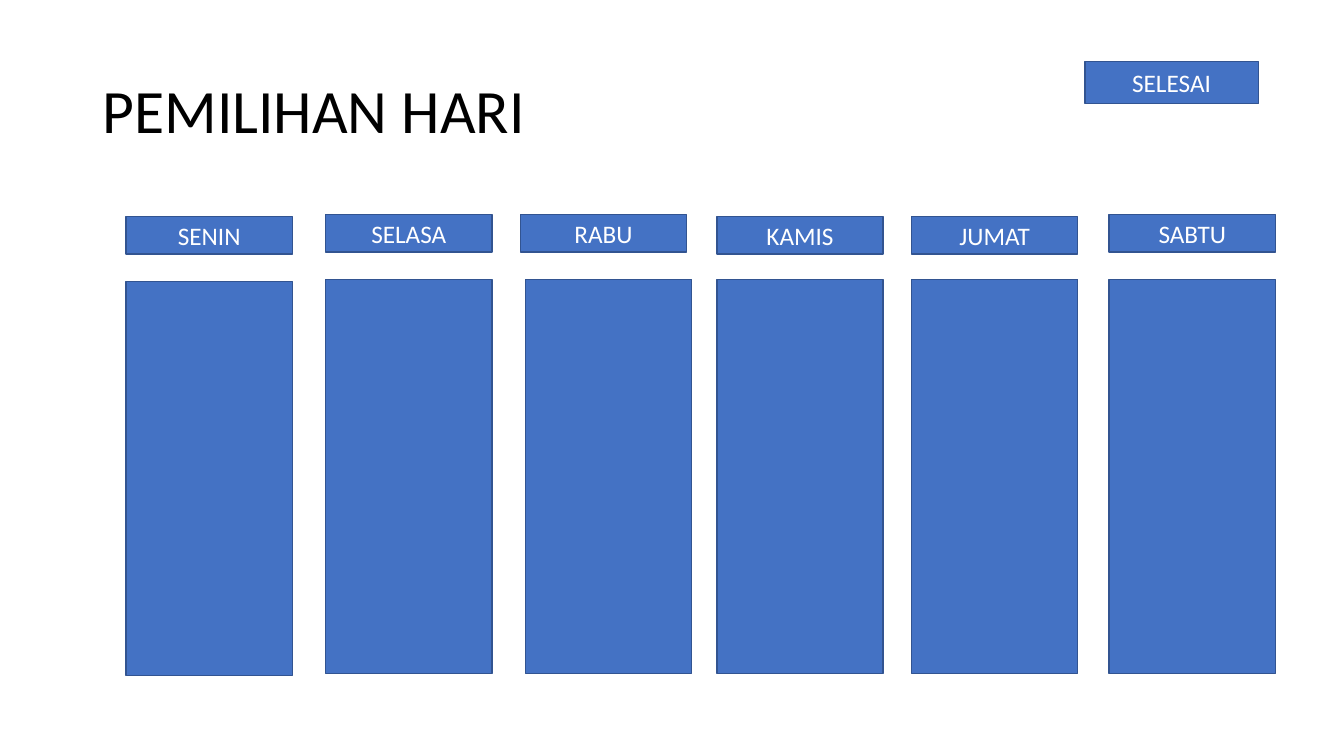
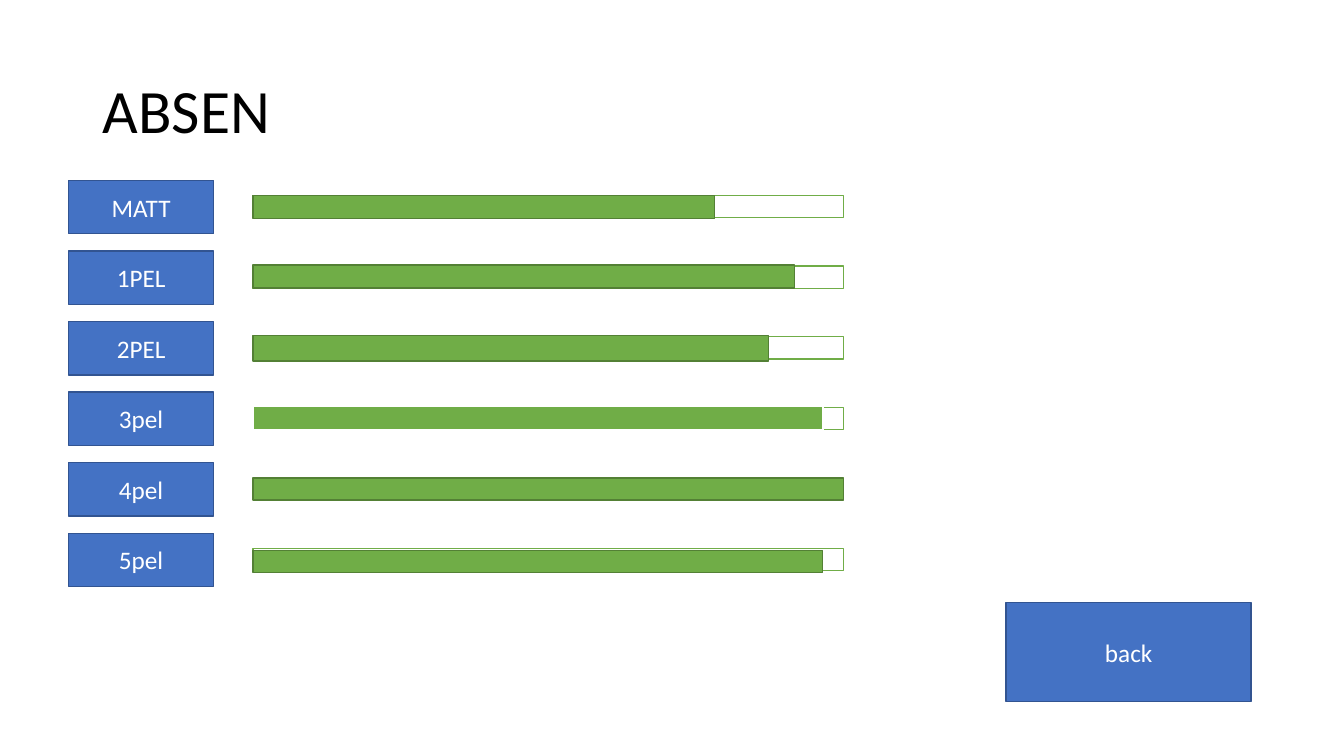
"""Build a day-selection slide and an attendance slide."""
from dataclasses import dataclass

from pptx import Presentation
from pptx.dml.color import RGBColor
from pptx.enum.shapes import MSO_SHAPE
from pptx.enum.text import MSO_ANCHOR, PP_ALIGN
from pptx.util import Inches, Pt


@dataclass(frozen=True)
class Theme:
    font: str = "Calibri"
    title_size: int = 44
    label_size: int = 18
    black: str = "000000"
    white: str = "FFFFFF"
    blue: str = "4472C4"
    blue_edge: str = "325491"
    green: str = "70AD47"
    green_edge: str = "538035"


theme = Theme()


def write_text(shape, text, size=theme.label_size, color=theme.white,
               align=PP_ALIGN.CENTER, line_spacing=1.0):
    frame = shape.text_frame
    frame.word_wrap = True
    frame.vertical_anchor = MSO_ANCHOR.MIDDLE
    paragraph = frame.paragraphs[0]
    paragraph.alignment = align
    paragraph.line_spacing = line_spacing
    run = paragraph.add_run()
    run.text = text
    run.font.name = theme.font
    run.font.size = Pt(size)
    run.font.color.rgb = RGBColor.from_string(color)


def add_box(slide, left, top, width, height, text="", fill=theme.blue,
            edge=theme.blue_edge, edge_width=1):
    shape = slide.shapes.add_shape(MSO_SHAPE.RECTANGLE, Inches(left), Inches(top),
                                   Inches(width), Inches(height))
    shape.shadow.inherit = False
    shape.fill.solid()
    shape.fill.fore_color.rgb = RGBColor.from_string(fill)
    shape.line.color.rgb = RGBColor.from_string(edge)
    shape.line.width = Pt(edge_width)
    if text:
        write_text(shape, text)


presentation = Presentation()
presentation.slide_width = Inches(13.33)
presentation.slide_height = Inches(7.5)

slides = []
for title in ("PEMILIHAN HARI", "ABSEN"):
    slide = presentation.slides.add_slide(presentation.slide_layouts[6])
    title_box = slide.shapes.add_textbox(Inches(0.92), Inches(0.4), Inches(11.5), Inches(1.45))
    write_text(title_box, title, size=theme.title_size, color=theme.black,
               align=PP_ALIGN.LEFT, line_spacing=0.9)
    slides.append(slide)
day_slide, attendance_slide = slides

column_width = 1.65
days = [
    ("SENIN", 1.25, 2.15, 1.25, 2.79),
    ("SELASA", 3.23, 2.13, 3.23, 2.77),
    ("RABU", 5.16, 2.13, 5.21, 2.77),
    ("KAMIS", 7.11, 2.15, 7.11, 2.77),
    ("JUMAT", 9.04, 2.15, 9.04, 2.77),
    ("SABTU", 11, 2.13, 11, 2.77),
]
for day, header_left, header_top, panel_left, panel_top in days:
    add_box(day_slide, header_left, header_top, column_width, 0.37, day)
    add_box(day_slide, panel_left, panel_top, column_width, 3.91)
add_box(day_slide, 10.76, 0.61, 1.72, 0.42, "SELESAI")

row_top, row_pitch = 1.79, 0.7
bar_left, track_width, track_height = 2.51, 5.86, 0.22
subjects = [
    ("MATT", 1.94, 4.58, 0.23),
    ("1PEL", 2.63, 5.37, 0.23),
    ("2PEL", 3.33, 5.11, 0.25),
    ("3pel", 4.03, 5.65, 0.24),
    ("4pel", 4.74, track_width, track_height),
    ("5pel", 5.46, 5.65, 0.22),
]
for row, (subject, bar_top, bar_width, bar_height) in enumerate(subjects):
    top = row_top + row * row_pitch
    add_box(attendance_slide, 0.68, top, 1.44, 0.53, subject)
    if bar_width < track_width:
        add_box(attendance_slide, bar_left, top + 0.15, track_width, track_height,
                fill=theme.white, edge=theme.green)
    edge, edge_width = (theme.white, 1.5) if subject == "3pel" else (theme.green_edge, 1)
    add_box(attendance_slide, bar_left, bar_top, bar_width, bar_height,
            fill=theme.green, edge=edge, edge_width=edge_width)
add_box(attendance_slide, 9.98, 5.98, 2.43, 0.98, "back")

presentation.save("out.pptx")
